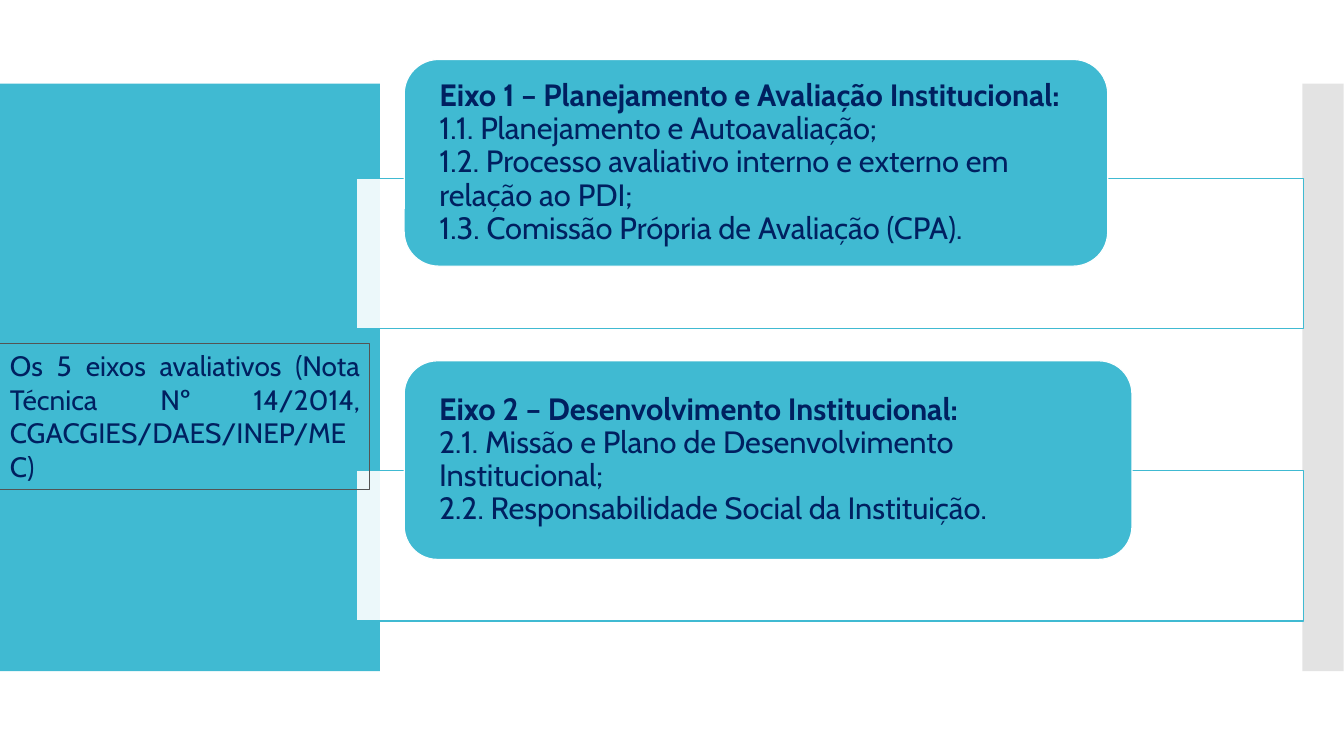
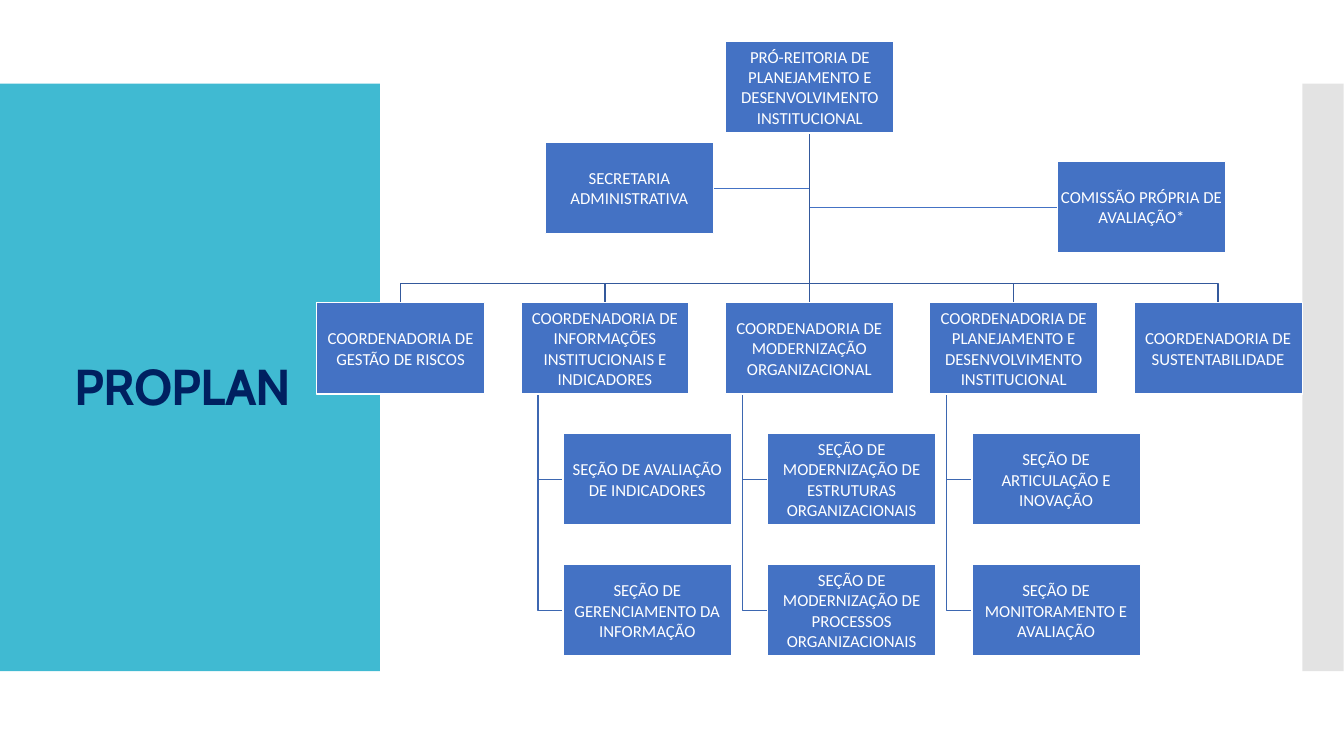
from lxml import etree
from pptx import Presentation
from pptx.dml.color import RGBColor
from pptx.enum import shapes, text
from pptx.oxml import ns
from pptx.util import Emu, Pt

# ---- Content ----
AXES_NOTE = "Os 5 eixos avaliativos (Nota Técnica Nº 14/2014, CGACGIES/DAES/INEP/MEC)"
AXES = [
    {"frame": (354, 177, 939, 149), "card": (401, 59, 698, 205),
     "heading": "Eixo 1 – Planejamento e Avaliação Institucional:",
     "items": ["1.1. Planejamento e Autoavaliação;",
               "1.2. Processo avaliativo interno e externo em relação ao PDI;",
               "1.3. Comissão Própria de Avaliação (CPA)."]},
    {"frame": (354, 467, 939, 149), "card": (401, 358, 722, 197),
     "heading": "Eixo 2 – Desenvolvimento Institucional:",
     "items": ["2.1. Missão e Plano de Desenvolvimento Institucional;",
               "2.2. Responsabilidade Social da Instituição."]},
]
OFFICE = "PROPLAN"
HEAD = ("PRÓ-REITORIA DE PLANEJAMENTO E DESENVOLVIMENTO INSTITUCIONAL", 720, 41)
SUPPORT = [("SECRETARIA ADMINISTRATIVA", 541, 141),
           ("COMISSÃO PRÓPRIA DE AVALIAÇÃO*", 1049, 160)]
COORDINATIONS = [
    ("COORDENADORIA DE GESTÃO DE RISCOS", []),
    ("COORDENADORIA DE INFORMAÇÕES INSTITUCIONAIS E INDICADORES",
     ["SEÇÃO DE AVALIAÇÃO DE INDICADORES",
      "SEÇÃO DE GERENCIAMENTO DA INFORMAÇÃO"]),
    ("COORDENADORIA DE MODERNIZAÇÃO ORGANIZACIONAL",
     ["SEÇÃO DE MODERNIZAÇÃO DE ESTRUTURAS ORGANIZACIONAIS",
      "SEÇÃO DE MODERNIZAÇÃO DE PROCESSOS ORGANIZACIONAIS"]),
    ("COORDENADORIA DE PLANEJAMENTO E DESENVOLVIMENTO INSTITUCIONAL",
     ["SEÇÃO DE ARTICULAÇÃO E INOVAÇÃO",
      "SEÇÃO DE MONITORAMENTO E AVALIAÇÃO"]),
    ("COORDENADORIA DE SUSTENTABILIDADE", []),
]

# ---- Theme ----
THEME = {
    "teal": "40BAD2", "grey": "C8C8C8", "white": "FFFFFF", "border": "545454",
    "unit": "4472C4", "branch": "34599C", "twig": "3D67B1",
    "title": {"name": "Cabin", "size": 36, "color": "002060", "bold": True},
    "heading": {"name": "Cabin", "size": 22, "color": "002060", "bold": True},
    "item": {"name": "Cabin", "size": 22, "color": "002060", "bold": False},
    "note": {"name": "Cabin", "size": 20, "color": "002060", "bold": False},
    "label": {"name": "Calibri", "size": 12, "color": "FFFFFF", "bold": False},
}
PX = 9144  # 100 px to the inch
SLIDE_H = 750
SLIDE_W = SLIDE_H * 16 / 9
SIDE_BAND = (0, 83, 377, 583)
EDGE_BAND = (1292, 83, 41, 583)

# ---- Org chart grid ----
UNIT_W, UNIT_H = 167, 91
FIRST_LEFT, LAST_LEFT = 314, 1125
COORD_TOP, SECTION_TOP, ROW_STEP = 300, 430, 130
BUS_Y, SPINE_INDENT, SECTION_INDENT = 281, 17, 42


def px(length):
    return Emu(round(length * PX))


def draw_box(slide, place, fill=None, line=None, width=0.85, opacity=100, rounded=False):
    kind = shapes.MSO_SHAPE.ROUNDED_RECTANGLE if rounded else shapes.MSO_SHAPE.RECTANGLE
    box = slide.shapes.add_shape(kind, *map(px, place))
    box.shadow.inherit = False
    if fill:
        box.fill.solid()
        box.fill.fore_color.rgb = RGBColor.from_string(THEME[fill])
        if opacity < 100:
            color = box.fill._xPr.find(".//" + ns.qn("a:srgbClr"))
            etree.SubElement(color, ns.qn("a:alpha"), val=str(opacity * 1000))
    else:
        box.fill.background()
    if line:
        box.line.color.rgb = RGBColor.from_string(THEME[line])
        box.line.width = Pt(width)
    else:
        box.line.fill.background()
    return box


def write(box, lines, align, anchor="MIDDLE", inset=(10, 5), spacing=None):
    """Fill a shape with (text, style) lines, one paragraph each."""
    frame = box.text_frame
    side, end = map(px, inset)
    settings = {"word_wrap": True, "vertical_anchor": text.MSO_ANCHOR[anchor],
                "margin_left": side, "margin_right": side,
                "margin_top": end, "margin_bottom": end}
    for name, value in settings.items():
        setattr(frame, name, value)
    for i, (words, style) in enumerate(lines):
        paragraph = frame.add_paragraph() if i else frame.paragraphs[0]
        paragraph.alignment = text.PP_ALIGN[align]
        if spacing:
            paragraph.line_spacing = spacing
        run = paragraph.add_run()
        run.text = words
        look = THEME[style]
        for name, value in {"name": look["name"], "size": Pt(look["size"]),
                            "bold": look["bold"]}.items():
            setattr(run.font, name, value)
        run.font.color.rgb = RGBColor.from_string(look["color"])


def draw_link(slide, points, color, width=1):
    """Join the points: a connector when straight, an open outline when bent."""
    corners = [tuple(map(px, point)) for point in points]
    if len({x for x, _ in corners}) == 1:
        link = slide.shapes.add_connector(shapes.MSO_CONNECTOR.STRAIGHT,
                                          *corners[0], *corners[-1])
        etree.SubElement(link._element.spPr, ns.qn("a:effectLst"))
    else:
        outline = slide.shapes.build_freeform(*corners[0], scale=1.0)
        outline.add_line_segments(corners[1:], close=False)
        link = outline.convert_to_shape()
        link.shadow.inherit = False
        link.fill.background()
    link.line.color.rgb = RGBColor.from_string(THEME[color])
    link.line.width = Pt(width)


def draw_unit(slide, label, left, top):
    unit = draw_box(slide, (left, top, UNIT_W, UNIT_H), "unit", "white", 1)
    write(unit, [(label, "label")], "CENTER", inset=(1, 1))


def new_slide(deck):
    slide = deck.slides.add_slide(deck.slide_layouts[6])
    draw_box(slide, SIDE_BAND, "teal")
    draw_box(slide, EDGE_BAND, "grey", opacity=50)
    return slide


def build_axes(deck):
    slide = new_slide(deck)
    for axis in AXES:
        draw_box(slide, axis["frame"], "white", "teal", opacity=90)
        card = draw_box(slide, axis["card"], "teal", "white", rounded=True)
        lines = [(axis["heading"], "heading")] + [(item, "item") for item in axis["items"]]
        write(card, lines, "LEFT", inset=(25, 0), spacing=0.9)
    note = draw_box(slide, (0, 341, 367, 145), line="border", width=0.75)
    write(note, [(AXES_NOTE, "note")], "JUSTIFY", anchor="TOP")


def build_org_chart(deck):
    slide = new_slide(deck)
    title = slide.shapes.add_textbox(*map(px, (0, 135, 363, 503)))
    write(title, [(OFFICE, "title")], "CENTER", spacing=0.9)
    title.text_frame.paragraphs[0].runs[0].font._element.set("spc", "-60")

    pitch = (LAST_LEFT - FIRST_LEFT) / (len(COORDINATIONS) - 1)
    units = [HEAD, *SUPPORT]
    trunk_x = FIRST_LEFT + 2 * pitch + UNIT_W / 2
    trunk_top = (trunk_x, HEAD[2] + UNIT_H)

    # Links from the head to the support units
    for _, left, top in SUPPORT:
        near_x = left if left > trunk_x else left + UNIT_W
        y = top + UNIT_H / 2
        draw_link(slide, [trunk_top, (trunk_x, y), (near_x, y)], "unit", 0.5)

    # Coordinations with their sections
    for i, (label, sections) in enumerate(COORDINATIONS):
        left = FIRST_LEFT + i * pitch
        center, spine = left + UNIT_W / 2, left + SPINE_INDENT
        units.append((label, left, COORD_TOP))
        draw_link(slide, [trunk_top, (trunk_x, BUS_Y), (center, BUS_Y),
                          (center, COORD_TOP)], "branch")
        for row, section in enumerate(sections):
            section_left = left + SECTION_INDENT
            top = SECTION_TOP + row * ROW_STEP
            y = top + UNIT_H / 2
            units.append((section, section_left, top))
            draw_link(slide, [(spine, COORD_TOP + UNIT_H), (spine, y),
                              (section_left, y)], "twig")

    for unit in units:
        draw_unit(slide, *unit)


def main():
    deck = Presentation()
    deck.slide_width, deck.slide_height = px(SLIDE_W), px(SLIDE_H)
    build_axes(deck)
    build_org_chart(deck)
    deck.save("out.pptx")


if __name__ == "__main__":
    main()
